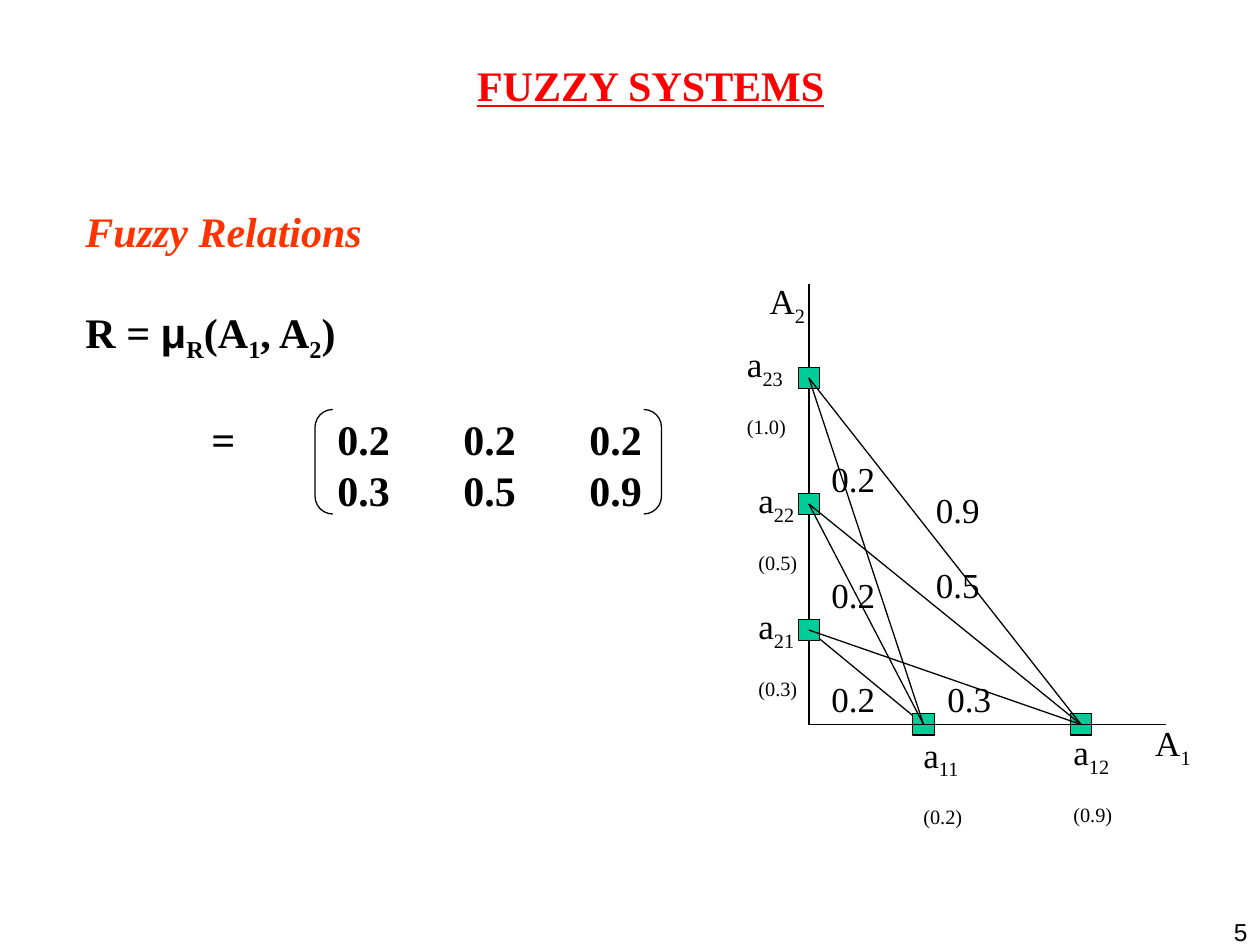
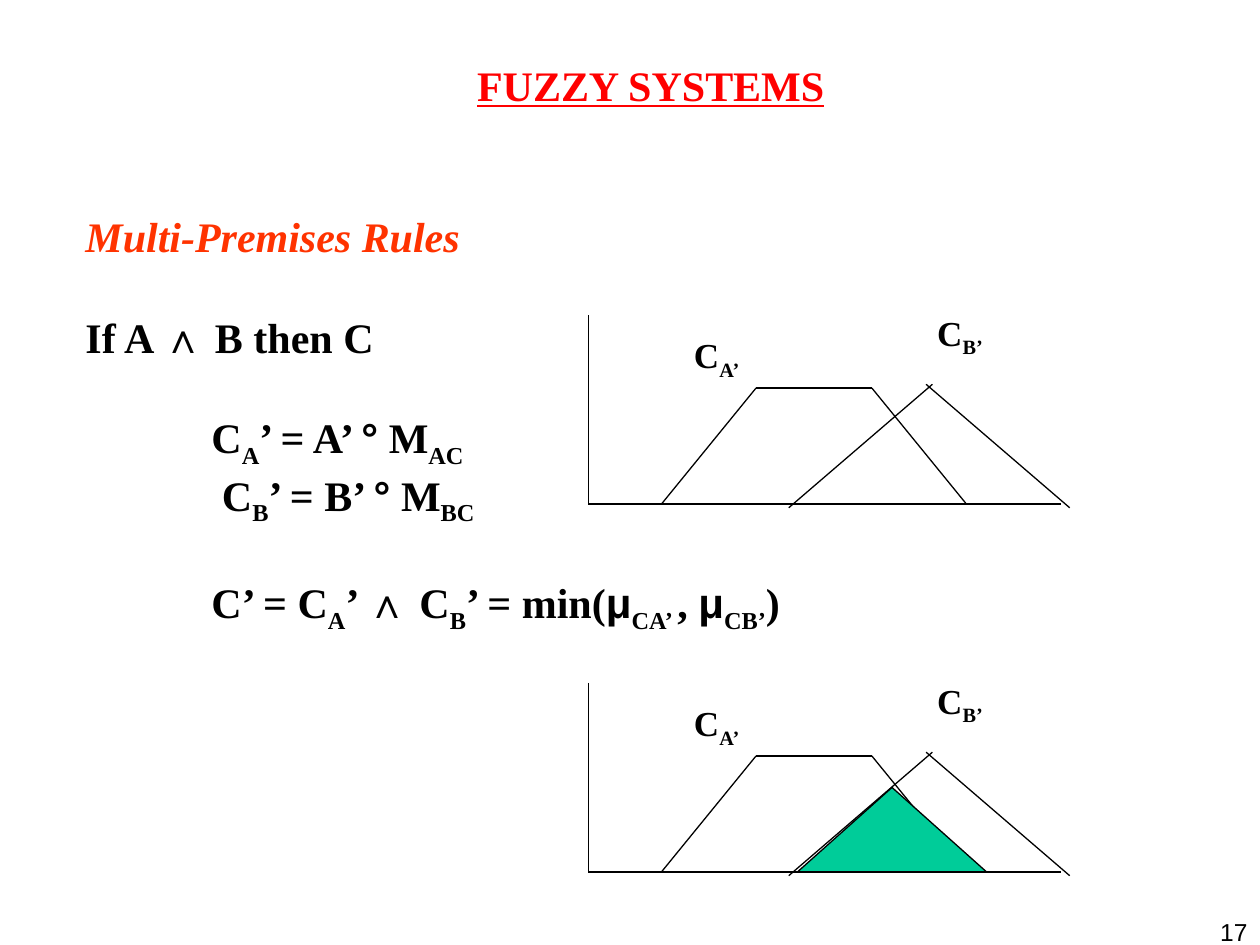
from dataclasses import dataclass, field
from typing import NamedTuple

from lxml.etree import SubElement
from pptx import Presentation
from pptx.dml.color import RGBColor
from pptx.enum.shapes import MSO_CONNECTOR, MSO_SHAPE
from pptx.enum.text import MSO_AUTO_SIZE, PP_ALIGN
from pptx.oxml.ns import qn
from pptx.util import Inches, Pt


@dataclass(frozen=True)
class Theme:
    black: RGBColor = RGBColor(0, 0, 0)
    title_red: RGBColor = RGBColor(0xFF, 0, 0)
    heading_orange: RGBColor = RGBColor(0xFF, 0x33, 0)
    marker_green: RGBColor = RGBColor(0, 0xCC, 0x99)
    serif: str = "Times New Roman"
    sans: str = "Arial"
    body_size: Pt = Pt(24)
    label_size: Pt = Pt(20)
    number_size: Pt = Pt(14)
    line_width: Pt = Pt(0.75)
    blank_line: Pt = Pt(28.8)


THEME = Theme()
LABEL = {"name": THEME.serif, "size": THEME.label_size, "color": THEME.black}
BOLD_LABEL = LABEL | {"bold": True}
BODY = {"name": THEME.serif, "size": THEME.body_size, "color": THEME.black, "bold": True}
HEADING = BODY | {"color": THEME.heading_orange, "italic": True}
TITLE = BODY | {"color": THEME.title_red, "underline": True}
NUMBER = {"name": THEME.sans, "size": THEME.number_size, "color": THEME.black}


class Frame(NamedTuple):
    left: float
    top: float
    width: float
    height: float


class Point(NamedTuple):
    x: float
    y: float


class Span(NamedTuple):
    text: str
    lowered: bool = False
    symbol: bool = False


@dataclass(frozen=True)
class Line:
    spans: list[Span]
    style: dict = field(default_factory=lambda: BODY)
    gap: bool = False


class Member(NamedTuple):
    index: str
    grade: str
    at: Point
    label: Frame


class Relation(NamedTuple):
    start: Point
    end: Point
    weight: str
    label: Point


def plain(text: str) -> Span:
    return Span(text)


def sub(text: str) -> Span:
    return Span(text, lowered=True)


def symbol(text: str) -> Span:
    return Span(text, symbol=True)


# Drawing helpers
def format_span(run, style: dict, span: Span) -> None:
    values = style | ({"name": THEME.sans} if span.symbol else {})
    for key, value in values.items():
        if key == "color":
            run.font.color.rgb = value
        else:
            setattr(run.font, key, value)
    if span.lowered:
        run.font._element.set("baseline", "-25000")


def add_tabs(para) -> None:
    tabs = SubElement(para._p.get_or_add_pPr(), qn("a:tabLst"))
    for inch in range(1, 8):
        SubElement(tabs, qn("a:tab"), pos=str(Inches(inch)), algn="l")


def add_text(shapes, frame: Frame, lines: list[Line], align=PP_ALIGN.LEFT,
             wrap: bool = True, grow: bool = True, tabs: bool = False) -> None:
    box = shapes.add_textbox(*map(Inches, frame))
    text = box.text_frame
    text.word_wrap = wrap
    text.auto_size = MSO_AUTO_SIZE.SHAPE_TO_FIT_TEXT if grow else MSO_AUTO_SIZE.NONE
    for number, line in enumerate(lines):
        para = text.add_paragraph() if number else text.paragraphs[0]
        if tabs:
            add_tabs(para)
        para.alignment = align
        if line.gap:
            para.space_before = THEME.blank_line
        for span in line.spans:
            run = para.add_run()
            run.text = span.text
            format_span(run, line.style, span)


def add_line(shapes, start: Point, end: Point) -> None:
    line = shapes.add_connector(MSO_CONNECTOR.STRAIGHT, *map(Inches, (*start, *end)))
    line.line.color.rgb = THEME.black
    line.line.width = THEME.line_width
    SubElement(line._element.spPr, qn("a:effectLst"))


def add_outline(shapes, kind, frame: Frame, fill: RGBColor | None = None):
    shape = shapes.add_shape(kind, *map(Inches, frame))
    shape.shadow.inherit = False
    if fill is None:
        shape.fill.background()
    else:
        shape.fill.solid()
        shape.fill.fore_color.rgb = fill
    shape.line.color.rgb = THEME.black
    shape.line.width = THEME.line_width
    return shape


def add_page(deck, number: int, body: Frame, lines: list[Line]):
    page = deck.slides.add_slide(deck.slide_layouts[6])
    add_text(page.shapes, body, lines, PP_ALIGN.JUSTIFY, tabs=True)
    add_text(page.shapes, Frame(1.25, 0.42, 7.83, 0.5),
             [Line([plain("FUZZY SYSTEMS")], TITLE)], PP_ALIGN.CENTER)
    add_text(page.shapes, Frame(9.46, 7.23, 0.54, 0.27),
             [Line([plain(str(number))], NUMBER)], PP_ALIGN.RIGHT, grow=False)
    return page


# Fuzzy relations: matrix and relation graph
ORIGIN = Point(6.42, 5.75)
A11, A12 = (Point(x, ORIGIN.y) for x in (7.33, 8.58))
A21, A22, A23 = (Point(ORIGIN.x, y) for y in (5, 4, 3))

MEMBERS = [
    Member("11", "(0.2)", A11, Frame(7.23, 5.77, 0.6, 0.86)),
    Member("12", "(0.9)", A12, Frame(8.42, 5.75, 0.67, 0.86)),
    Member("21", "(0.3)", A21, Frame(5.92, 4.75, 0.55, 0.86)),
    Member("22", "(0.5)", A22, Frame(5.92, 3.75, 0.55, 0.86)),
    Member("23", "(1.0)", A23, Frame(5.83, 2.67, 0.55, 0.86)),
]
RELATIONS = [
    Relation(A21, A11, "0.2", Point(6.5, 5.33)),
    Relation(A21, A12, "0.3", Point(7.42, 5.33)),
    Relation(A22, A11, "0.2", Point(6.5, 4.5)),
    Relation(A22, A12, "0.5", Point(7.33, 4.42)),
    Relation(A23, A11, "0.2", Point(6.5, 3.58)),
    Relation(A23, A12, "0.9", Point(7.33, 3.83)),
]
RELATION_LINES = [
    Line([plain("Fuzzy Relations")], HEADING),
    Line([plain("R = "), symbol("μ"), sub("R"), plain("(A"), sub("1"),
          plain(", A"), sub("2"), plain(")")], gap=True),
    Line([plain("\t=\t0.2\t0.2\t0.2")], gap=True),
    Line([plain("\t\t0.3\t0.5\t0.9")]),
]


def draw_relation_graph(shapes) -> None:
    marker = 0.17
    first, *others = RELATIONS
    add_line(shapes, first.start, first.end)
    add_line(shapes, Point(ORIGIN.x, 2.25), ORIGIN)
    for member in MEMBERS:
        square = Frame(member.at.x - marker / 2, member.at.y - marker / 2, marker, marker)
        add_outline(shapes, MSO_SHAPE.RECTANGLE, square, THEME.marker_green)
        add_text(shapes, member.label, [Line([plain("a"), sub(member.index)], LABEL),
                                        Line([sub(member.grade)], LABEL)])
    add_line(shapes, ORIGIN, Point(9.25, ORIGIN.y))
    for relation in others:
        add_line(shapes, relation.start, relation.end)
    for relation in RELATIONS:
        add_text(shapes, Frame(*relation.label, 0.55, 0.44),
                 [Line([plain(relation.weight)], LABEL)], wrap=False)
    for index, place in (("1", Point(9.07, 5.68)), ("2", Point(6.01, 2.17))):
        add_text(shapes, Frame(*place, 0.48, 0.48),
                 [Line([plain("A"), sub(index)], LABEL)], wrap=False)


def build_relations(deck) -> None:
    page = add_page(deck, 5, Frame(0.58, 1.58, 9.17, 2.56), RELATION_LINES)
    bracket = add_outline(page.shapes, MSO_SHAPE.DOUBLE_BRACKET, Frame(2.5, 3.25, 2.75, 0.83))
    bracket.adjustments[0] = 0.17
    draw_relation_graph(page.shapes)


# Multi-premises rules: two membership plots
PREMISE_LINES = [
    Line([plain("Multi-Premises Rules")], HEADING),
    Line([plain("If A "), symbol("∧"), plain(" B then C")], gap=True),
    Line([plain("\tC"), sub("A"), plain("’ = A’ "), symbol("°"),
          plain(" M"), sub("AC")], gap=True),
    Line([plain("\t C"), sub("B"), plain("’ = B’ "), symbol("°"), plain(" M"), sub("BC")]),
    Line([plain("\tC’ = C"), sub("A"), plain("’ "), symbol("∧"), plain(" C"), sub("B"),
          plain("’ = min("), symbol("μ"), sub("CA’ "), plain(", "), symbol("μ"),
          sub("CB’"), plain(")")], gap=True),
]
# Plot strokes, with heights measured from the top of the vertical axis
PLOT_STROKES = [
    (Point(4.67, 0), Point(4.67, 1.5)),
    (Point(6, 0.58), Point(6.92, 0.58)),
    (Point(6, 0.58), Point(5.25, 1.5)),
    (Point(6.92, 0.58), Point(7.67, 1.5)),
    (Point(4.67, 1.5), Point(8.42, 1.5)),
    (Point(6.26, 1.53), Point(7.4, 0.55)),
    (Point(7.35, 0.55), Point(8.49, 1.53)),
]
PLOT_LABELS = {"A’": Point(5.41, 0.1), "B’": Point(7.34, -0.08)}


def draw_membership_plot(page, top: float) -> None:
    shapes = page.shapes.add_group_shape().shapes
    for start, end in PLOT_STROKES:
        add_line(shapes, Point(start.x, top + start.y), Point(end.x, top + end.y))
    for premise, place in PLOT_LABELS.items():
        add_text(shapes, Frame(place.x, top + place.y, 0.57, 0.48),
                 [Line([plain("C"), sub(premise)], BOLD_LABEL)], wrap=False)


def build_premises(deck) -> None:
    page = add_page(deck, 17, Frame(0.58, 1.62, 8.92, 3.47), PREMISE_LINES)
    for top in (2.5, 5.42):
        draw_membership_plot(page, top)
    add_outline(page.shapes, MSO_SHAPE.ISOSCELES_TRIANGLE,
                Frame(6.33, 6.25, 1.5, 0.67), THEME.marker_green)


def main() -> None:
    deck = Presentation()
    deck.slide_width, deck.slide_height = Inches(10), Inches(7.5)
    build_relations(deck)
    build_premises(deck)
    deck.save("out.pptx")


if __name__ == "__main__":
    main()
